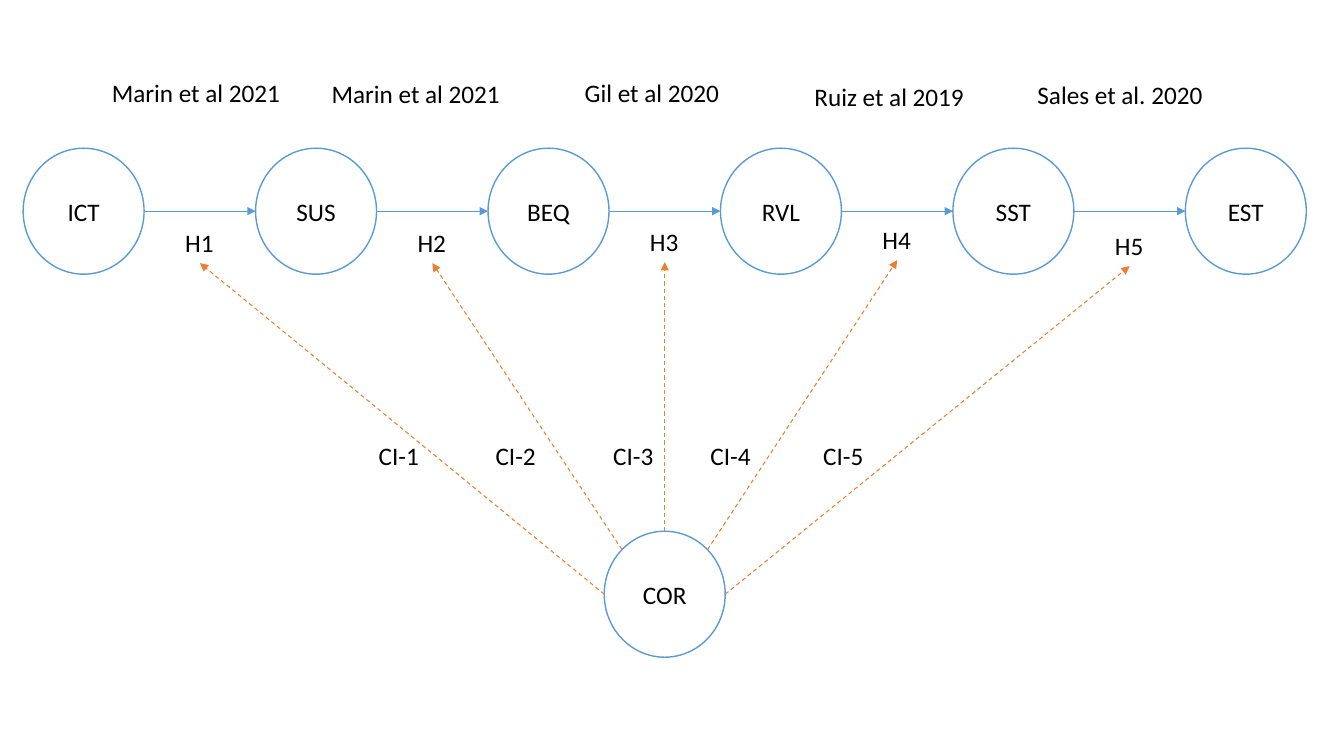
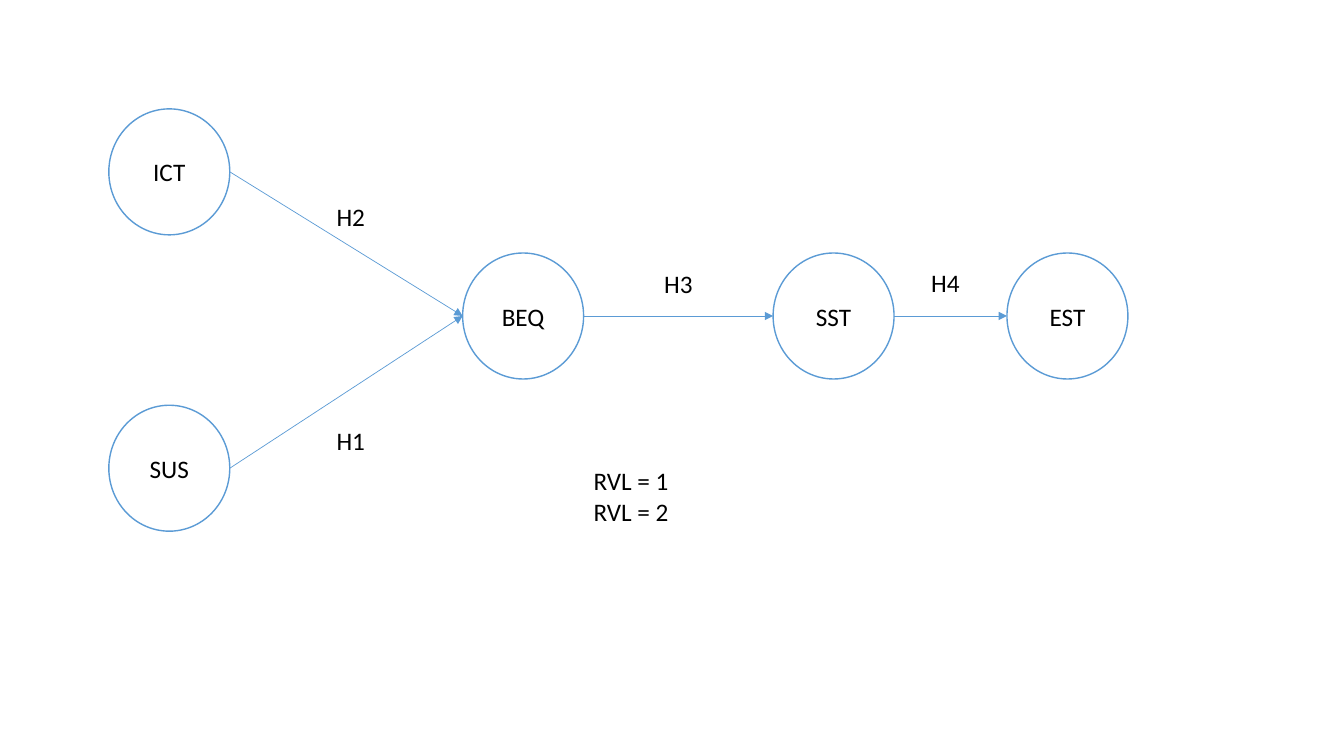
import math
import pptx
import pptx.dml.color
import pptx.enum.dml
import pptx.enum.shapes
import pptx.enum.text
import pptx.oxml
import pptx.oxml.ns
import pptx.util

Pt = pptx.util.Pt
BLUE, ORANGE, WHITE, BLACK = "5B9BD5", "ED7D31", "FFFFFF", "000000"
FONT, TEXT_SIZE = "Calibri", 18
NODE_W, NODE_H = 86.4, 90
LABEL_H, H_WIDTH, CI_WIDTH = 28.8, 35.28, 43.92


def paint(color_format, hex_color):
    color_format.rgb = pptx.dml.color.RGBColor.from_string(hex_color)


def style_text(frame, align):
    for paragraph in frame.paragraphs:
        paragraph.alignment = align
        paragraph.font.name = FONT
        paragraph.font.size = Pt(TEXT_SIZE)
        paragraph.font.color.rgb = pptx.dml.color.RGBColor.from_string(BLACK)


# Shared parts: construct circle, label, arrow
def add_node(slide, name, left, top):
    """Draw a construct and return its centre."""
    node = slide.shapes.add_shape(pptx.enum.shapes.MSO_SHAPE.OVAL,
                                  Pt(left), Pt(top), Pt(NODE_W), Pt(NODE_H))
    node.shadow.inherit = False
    node.fill.solid()
    paint(node.fill.fore_color, WHITE)
    paint(node.line.color, BLUE)
    node.line.width = Pt(1)
    node.text_frame.text = name
    node.text_frame.vertical_anchor = pptx.enum.text.MSO_ANCHOR.MIDDLE
    style_text(node.text_frame, pptx.enum.text.PP_ALIGN.CENTER)
    return left + NODE_W / 2, top + NODE_H / 2


def add_label(slide, text, left, top, width, height=LABEL_H, wrap=False):
    label = slide.shapes.add_textbox(Pt(left), Pt(top), Pt(width), Pt(height))
    frame = label.text_frame
    frame.text = text
    frame.word_wrap = wrap
    frame.auto_size = pptx.enum.text.MSO_AUTO_SIZE.SHAPE_TO_FIT_TEXT
    style_text(frame, pptx.enum.text.PP_ALIGN.LEFT)


def rim(center, degrees):
    """Point on a construct's outline, counted anticlockwise from the right."""
    angle = math.radians(degrees)
    return (center[0] + NODE_W / 2 * math.cos(angle),
            center[1] - NODE_H / 2 * math.sin(angle))


def add_arrow(slide, start, end, color=BLUE, width=0.5, dashed=False):
    arrow = slide.shapes.add_connector(pptx.enum.shapes.MSO_CONNECTOR.STRAIGHT,
                                       *(Pt(value) for value in (*start, *end)))
    paint(arrow.line.color, color)
    arrow.line.width = Pt(width)
    if dashed:
        arrow.line.dash_style = pptx.enum.dml.MSO_LINE.DASH
    properties = arrow._element.spPr
    outline = properties.find(pptx.oxml.ns.qn("a:ln"))
    namespace = pptx.oxml.ns.nsdecls("a")
    outline.append(pptx.oxml.parse_xml(f'<a:tailEnd {namespace} type="triangle"/>'))
    properties.append(pptx.oxml.parse_xml(f"<a:effectLst {namespace}/>"))


def link(slide, source, target):
    add_arrow(slide, rim(source, 0), rim(target, 180))


# Chain of constructs with citations above and hypotheses below each link
def add_chain(slide, box, names, citations, hypothesis_tops):
    """Return the points under the hypotheses."""
    left, top, width, height = box
    pitch = (width - NODE_W) / (len(names) - 1)
    centers = [add_node(slide, name, left + i * pitch, top + height - NODE_H)
               for i, name in enumerate(names)]
    targets = []
    for i, (source, target) in enumerate(zip(centers, centers[1:])):
        link(slide, source, target)
        middle = (source[0] + target[0]) / 2
        citation, shift, drop, citation_w = citations[i]
        add_label(slide, citation, middle + shift - citation_w / 2, top + drop, citation_w)
        label_top = top + hypothesis_tops[i]
        add_label(slide, f"H{i + 1}", middle - H_WIDTH / 2, label_top, H_WIDTH)
        targets.append((middle, label_top + LABEL_H))
    return targets


# Moderator at the foot of the box, fanning out to the hypotheses
def add_moderator(slide, box, name, targets, label_shifts):
    left, top, width, height = box
    middle = left + width / 2
    center = add_node(slide, name, middle - NODE_W / 2, top + height - NODE_H)
    step = 180 / (len(targets) - 1)
    for i, (target, shift) in enumerate(zip(targets, label_shifts)):
        add_arrow(slide, rim(center, 180 - i * step), target, ORANGE, 0.75, dashed=True)
        add_label(slide, f"CI-{i + 1}", middle + shift - CI_WIDTH / 2, top + 115.2, CI_WIDTH)


# Two sources merging into one path, with a note on the groups
def add_merging_path(slide, box, nodes, links, hypotheses, note):
    left, top, width, height = box
    centers = {name: add_node(slide, name, left + x, top + y)
               for name, (x, y) in nodes.items()}
    for source, target in links:
        link(slide, centers[source], centers[target])
    for name, (x, y) in hypotheses.items():
        add_label(slide, name, left + x, top + y, H_WIDTH)
    note_h = 51.12
    add_label(slide, note, left + 339.12, top + height - note_h, 236.16, note_h, wrap=True)


deck = pptx.Presentation()
deck.slide_width, deck.slide_height = Pt(960), Pt(540)
blank = deck.slide_layouts[6]

# Slide 1: moderated chain
moderated = deck.slides.add_slide(blank)
hypothesis_points = add_chain(
    moderated, (16.56, 51.84, 916.56, 144),
    ["ICT", "SUS", "BEQ", "RVL", "SST", "EST"],
    # citation, shift from the link's middle, drop, width
    [("Marin et al 2021", -2, 0, 136.08),
     ("Marin et al 2021", -11, 0.72, 136.08),
     ("Gil et al 2020", -8.5, 0, 111.6),
     ("Ruiz et al 2019", -5, 2.88, 122.4),
     ("Sales et al. 2020", -6, 1.44, 133.92)],
    [107.28, 107.28, 106.56, 105.12, 109.44])
add_moderator(moderated, (16.56, 195.84, 916.56, 273.6), "COR",
              hypothesis_points, [-189.5, -106, -22, 47.5, 128])

# Slide 2: merging path
merging = deck.slides.add_slide(blank)
PATH_Y = 102.96
add_merging_path(
    merging, (77.76, 77.76, 727.92, 302.4),
    {"ICT": (0, 0), "SUS": (0, 211.68), "BEQ": (252.72, PATH_Y),
     "SST": (474.48, PATH_Y), "EST": (641.52, PATH_Y)},
    [("ICT", "BEQ"), ("SUS", "BEQ"), ("BEQ", "SST"), ("SST", "EST")],
    {"H1": (155.52, 222.48), "H2": (155.52, 62.64),
     "H3": (389.52, 110.16), "H4": (580.32, 109.44)},
    "RVL = 1\nRVL = 2")

deck.save("out.pptx")
